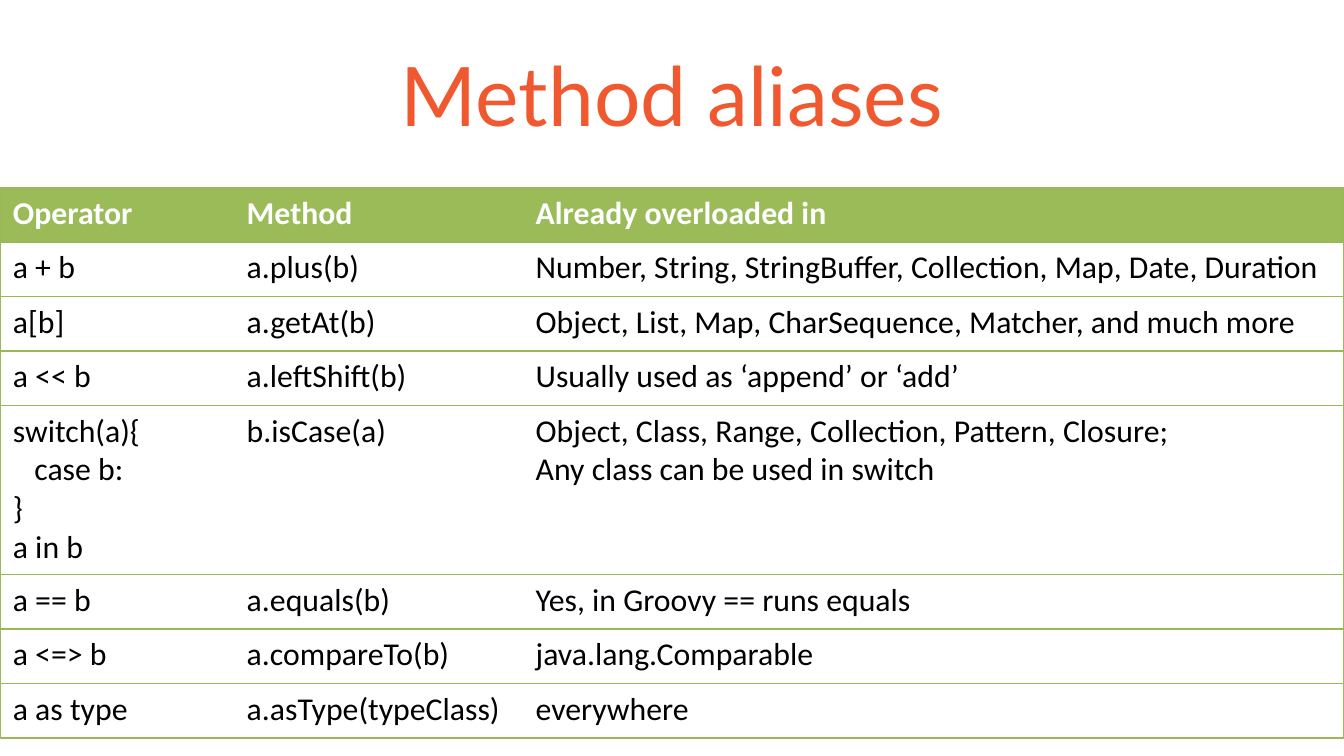
from typing import NamedTuple

from lxml import etree
from pptx import Presentation
from pptx.dml.color import RGBColor
from pptx.enum import text as t
from pptx.oxml import ns
from pptx.util import Pt

WIDTH, HEIGHT = 720, 405
LINE_H, TALL_H = 29.2, 90.5
COLS = (125.3, 154.8, 439.9)
GREEN, EDGE, ORANGE = "9BBB59", "98B955", "F05930"
WHITE, BLACK = "FFFFFF", "000000"


class Alias(NamedTuple):
    sign: str
    method: str
    types: str
    height: float = LINE_H


HEAD = Alias("Operator", "Method", "Already overloaded in")
ROWS = (
    HEAD,
    Alias("а + b", "a.plus(b)",
          "Number, String, StringBuffer, Collection, Map, Date, Duration"),
    Alias("а[b]", "a.getAt(b)",
          "Object, List, Map, CharSequence, Matcher, and much more"),
    Alias("a << b", "a.leftShift(b)", "Usually used as ‘append’ or ‘add’"),
    Alias("switch(a){\n   case b:\n}\na in b", "b.isCase(a)",
          "Object, Class, Range, Collection, Pattern, Closure;\v"
          "Any class can be used in switch", TALL_H),
    Alias("a == b", "a.equals(b)", "Yes, in Groovy == runs equals"),
    Alias("a <=> b", "a.compareTo(b)", "java.lang.Comparable"),
    Alias("a as type", "a.asType(typeClass)", "everywhere"),
)


def paint(code: str) -> RGBColor:
    return RGBColor.from_string(code)


def style(frame, font: str, size: float, color: str, bold: bool = False) -> None:
    for para in frame.paragraphs:
        for run in para.runs:
            run.font.name = font
            run.font.size = Pt(size)
            run.font.bold = bold
            run.font.color.rgb = paint(color)


def border(cell, side: str, shown: bool) -> None:
    props = cell._tc.get_or_add_tcPr()
    line = etree.SubElement(props, ns.qn(f"a:ln{side}"), w=str(Pt(0.75)))
    if shown:
        fill = etree.SubElement(line, ns.qn("a:solidFill"))
        etree.SubElement(fill, ns.qn("a:srgbClr"), val=EDGE)
    else:
        etree.SubElement(line, ns.qn("a:noFill"))


def draw_title(slide, words: str) -> None:
    box = slide.shapes.add_textbox(Pt(36), Pt(16.5), Pt(648), Pt(67.5))
    frame = box.text_frame
    frame.word_wrap = True
    frame.vertical_anchor = t.MSO_ANCHOR.MIDDLE
    frame.text = words
    frame.paragraphs[0].alignment = t.PP_ALIGN.CENTER
    style(frame, "Lato", 44, ORANGE)


def draw_cell(cell, words: str, head: bool, first: bool, last: bool) -> None:
    cell.margin_left = cell.margin_right = Pt(6.9)
    cell.margin_top = cell.margin_bottom = Pt(3.4)
    # Outer frame and row rules only; borders must precede the fill
    for side, shown in (("L", first), ("R", last), ("T", True), ("B", True)):
        border(cell, side, shown)
    if head:
        cell.fill.solid()
        cell.fill.fore_color.rgb = paint(GREEN)
    else:
        cell.fill.background()
    cell.text_frame.text = words
    style(cell.text_frame, "Calibri", 17, WHITE if head else BLACK, head)


def draw_table(slide, rows: tuple[Alias, ...]) -> None:
    total = sum(row.height for row in rows)
    table = slide.shapes.add_table(
        len(rows), len(COLS), Pt(0), Pt(100.5), Pt(WIDTH), Pt(total)).table
    table.horz_banding = False
    for col, width in zip(table.columns, COLS):
        col.width = Pt(width)
    for i, row in enumerate(rows):
        table.rows[i].height = Pt(row.height)
        for j, words in enumerate((row.sign, row.method, row.types)):
            draw_cell(table.cell(i, j), words, i == 0, j == 0,
                      j == len(COLS) - 1)


def main() -> None:
    deck = Presentation()
    deck.slide_width, deck.slide_height = Pt(WIDTH), Pt(HEIGHT)
    slide = deck.slides.add_slide(deck.slide_layouts[6])
    # Heading
    draw_title(slide, "Method aliases")
    # Operators and their methods
    draw_table(slide, ROWS)
    deck.save("out.pptx")


if __name__ == "__main__":
    main()
